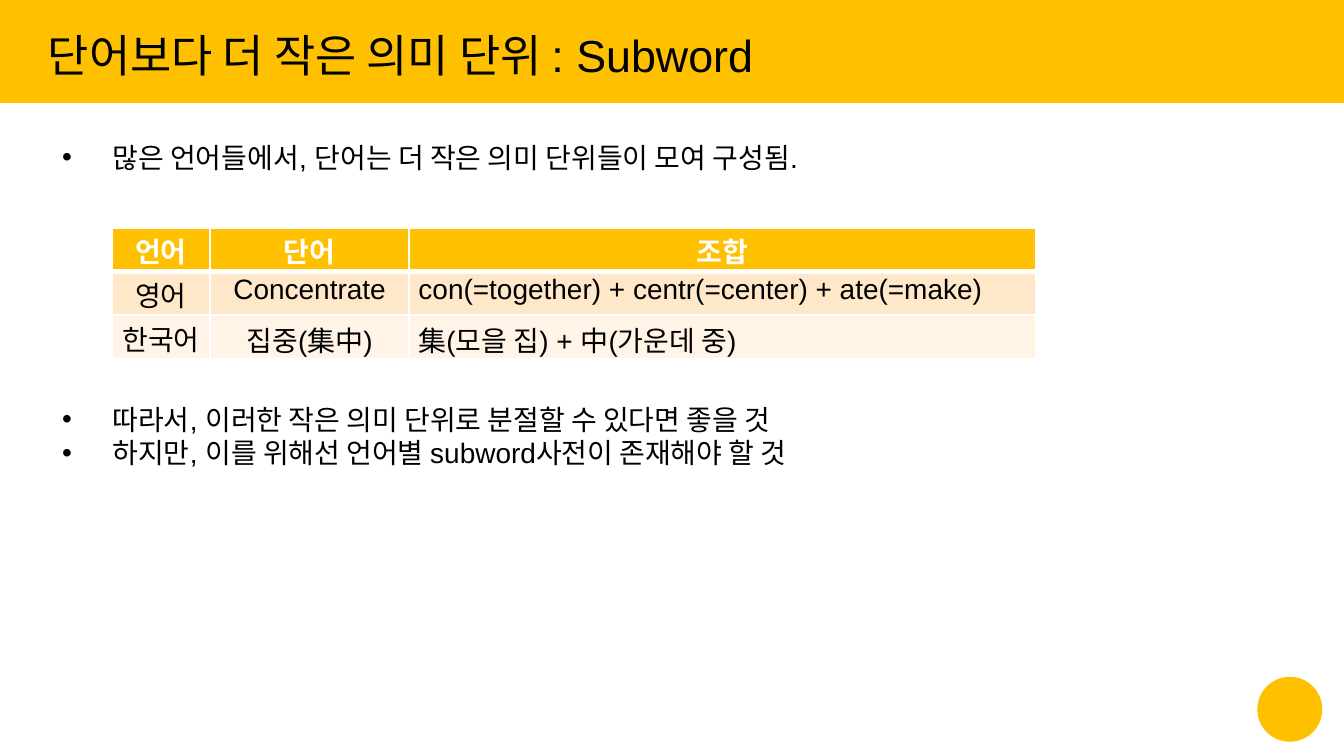
from lxml import etree
from pptx import Presentation
from pptx import util as u
from pptx.dml.color import RGBColor
from pptx.enum import shapes, text
from pptx.oxml import ns

AMBER = RGBColor(0xFF, 0xC0, 0x00)
PEACH = RGBColor(0xFF, 0xE8, 0xCA)
CREAM = RGBColor(0xFF, 0xF4, 0xE6)
WHITE = RGBColor(0xFF, 0xFF, 0xFF)
BLACK = RGBColor(0x00, 0x00, 0x00)
CENTER = text.PP_ALIGN.CENTER
LEFT = text.PP_ALIGN.LEFT


def apply(target, values):
    for name, value in values.items():
        setattr(target, name, value)


def add_xml(parent, tag, **attributes):
    return etree.SubElement(parent, ns.qn(tag), attributes)


class SlideBuilder:
    font = "Arial"
    body_size = 15
    box_format = {
        "margin_left": u.Pt(5.25), "margin_right": u.Pt(5.25),
        "margin_top": u.Pt(2.6), "margin_bottom": u.Pt(2.6), "word_wrap": True,
    }

    def __init__(self, slide):
        self.slide = slide

    def add_words(self, paragraph, words, size=body_size, color=BLACK, bold=False):
        run = paragraph.add_run()
        run.text = words
        apply(run.font, {"name": self.font, "size": u.Pt(size), "bold": bold})
        run.font.color.rgb = color

    def block(self, kind, *box):
        block = self.slide.shapes.add_shape(kind, *map(u.Pt, box))
        block.shadow.inherit = False
        block.fill.solid()
        block.fill.fore_color.rgb = AMBER
        block.line.fill.background()

    def frame(self, box, **extra):
        frame = self.slide.shapes.add_textbox(*map(u.Pt, box)).text_frame
        apply(frame, self.box_format | extra)
        return frame

    def title(self, words, *box):
        frame = self.frame(box, vertical_anchor=text.MSO_ANCHOR.MIDDLE)
        frame.paragraphs[0].line_spacing = 0.9
        self.add_words(frame.paragraphs[0], words, size=24)

    def bullets(self, lines, *box):
        frame = self.frame(box, auto_size=text.MSO_AUTO_SIZE.SHAPE_TO_FIT_TEXT)
        for i, line in enumerate(lines):
            paragraph = frame.add_paragraph() if i else frame.paragraphs[0]
            props = paragraph._p.get_or_add_pPr()
            props.set("marL", str(u.Pt(27)))
            props.set("indent", str(-u.Pt(27)))
            add_xml(add_xml(props, "a:buClr"), "a:srgbClr", val=str(BLACK))
            add_xml(props, "a:buFont", typeface=self.font)
            add_xml(props, "a:buChar", char="•")
            self.add_words(paragraph, line)

    def borders(self, cell, top, bottom):
        props = cell._tc.get_or_add_tcPr()
        for side, width in {"L": 1, "R": 1, "T": top, "B": bottom}.items():
            line = add_xml(props, f"a:ln{side}", w=str(u.Pt(width)))
            add_xml(add_xml(line, "a:solidFill"), "a:srgbClr", val=str(WHITE))

    def table(self, rows, fills, left, top, widths, row_height):
        box = (left, top, sum(widths), row_height * len(rows))
        table = self.slide.shapes.add_table(
            len(rows), len(widths), *map(u.Pt, box)).table
        for column, width in zip(table.columns, widths):
            column.width = u.Pt(width)
        for r, (row, fill) in enumerate(zip(rows, fills)):
            table.rows[r].height = u.Pt(row_height)
            header = r == 0
            for c, words in enumerate(row):
                cell = table.cell(r, c)
                top_margin = 2 if r == 2 and c else 1.5
                apply(cell, {"margin_left": 0, "margin_right": 0,
                             "margin_top": u.Pt(top_margin), "margin_bottom": 0})
                self.borders(cell, 3 if r == 1 else 1, 3 if header else 1)
                cell.fill.solid()
                cell.fill.fore_color.rgb = fill
                paragraph = cell.text_frame.paragraphs[0]
                centered = header or c < 2
                paragraph.alignment = CENTER if centered else LEFT
                if not centered:
                    paragraph._p.get_or_add_pPr().set("marL", str(u.Pt(5)))
                self.add_words(paragraph, words,
                               color=WHITE if header else BLACK, bold=header)


def main():
    deck = Presentation()
    apply(deck, {"slide_width": u.Pt(720), "slide_height": u.Pt(405)})
    builder = SlideBuilder(deck.slides.add_slide(deck.slide_layouts[6]))

    builder.block(shapes.MSO_SHAPE.OVAL, 673.6, 362.6, 34.8, 34.8)
    builder.block(shapes.MSO_SHAPE.RECTANGLE, 0, 0, 720, 55.2)
    builder.title("단어보다 더 작은 의미 단위 : Subword", 20.4, 19.8, 608, 22)
    builder.bullets(["많은 언어들에서, 단어는 더 작은 의미 단위들이 모여 구성됨."],
                    28, 72.6, 548.6, 24)
    builder.table(
        [["언어", "단어", "조합"],
         ["영어", "Concentrate", "con(=together) + centr(=center) + ate(=make)"],
         ["한국어", "집중(集中)", "集(모을 집) + 中(가운데 중)"]],
        [AMBER, PEACH, CREAM], 60, 122, [52.5, 106.7, 335.8], 23.4)
    builder.bullets(["따라서, 이러한 작은 의미 단위로 분절할 수 있다면 좋을 것",
                     "하지만, 이를 위해선 언어별 subword사전이 존재해야 할 것"],
                    28, 213, 548.6, 42)
    deck.save("out.pptx")


if __name__ == "__main__":
    main()
